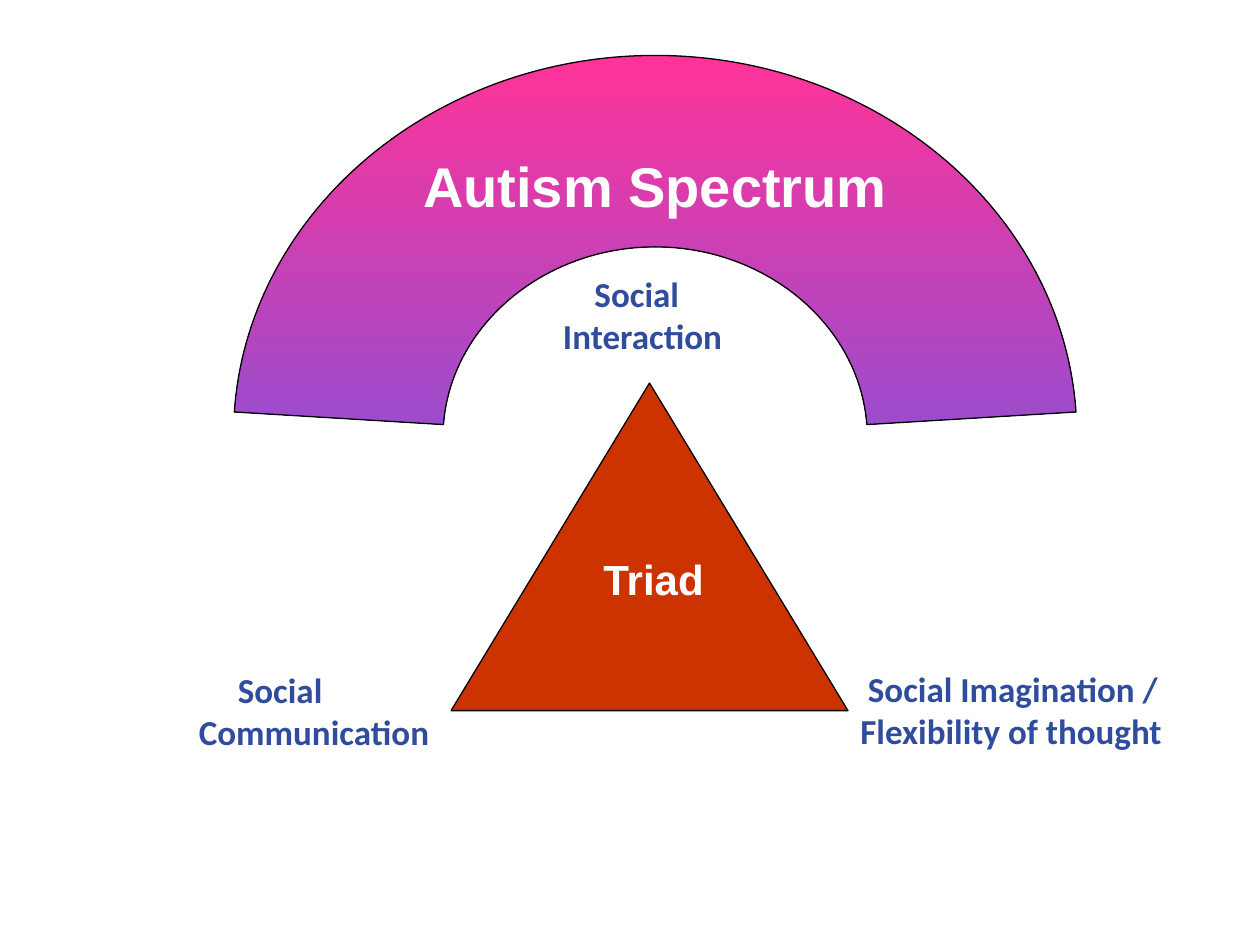
from lxml import etree
from pptx import Presentation
from pptx import util as u
from pptx.dml.color import RGBColor
from pptx.enum import shapes, text
from pptx.oxml.ns import qn

HUES = {"pink": "FF3399", "violet": "9C4CCC", "red": "CC3300",
        "blue": "2F4C9D", "white": "FFFFFF", "black": "000000"}


def hue(name):
    return RGBColor.from_string(HUES[name])


def edge(shape):
    shape.shadow.inherit = False
    shape.line.color.rgb = hue("black")
    shape.line.width = u.Pt(0.75)


def label(slide, box, lines, font, size, color, indent=0):
    """Bold text; indent moves the first line only."""
    frame = slide.shapes.add_textbox(*map(u.Inches, box)).text_frame
    frame.word_wrap = True
    frame.auto_size = text.MSO_AUTO_SIZE.SHAPE_TO_FIT_TEXT
    for i, line in enumerate(lines):
        para = frame.add_paragraph() if i else frame.paragraphs[0]
        if indent and not i:
            props = para._p.get_or_add_pPr()
            props.set("marL", "0")
            props.set("indent", str(u.Inches(indent)))
        run = para.add_run()
        run.text = line
        run.font.name, run.font.size, run.font.bold = font, u.Pt(size), True
        run.font.color.rgb = hue(color)


def bend(line, first, second):
    """Turn a straight segment into a curve with two control points."""
    line.tag = qn("a:cubicBezTo")
    for i, (x, y) in enumerate((first, second)):
        point = etree.Element(qn("a:pt"), x=str(x), y=str(y))
        line.insert(i, point)


def arch(slide, left, top, width, height):
    """Upper part of an elliptical ring, with its title."""
    def spot(x, y):
        return u.Inches(left + x), u.Inches(top + y)

    mid = width / 2
    # Each curve: first control, second control, end
    inner = [((1.73, 2.14), (2.47, 1.52), (mid, 1.52)),
             ((4.23, 1.52), (4.97, 2.14), (5.03, 2.93))]
    outer = [((6.58, 1.24), (5.11, 0), (mid, 0)),
             ((1.59, 0), (0.12, 1.24), (0.01, 2.83))]
    start, turn = (1.67, 2.93), (6.69, 2.83)
    ends = [c[2] for c in inner] + [turn] + [c[2] for c in outer]

    pen = slide.shapes.build_freeform(*spot(*start))
    pen.add_line_segments([spot(*end) for end in ends], close=True)
    ring = pen.convert_to_shape()
    sides = list(ring._element.iter(qn("a:lnTo")))
    for side, curve in zip(sides[:2] + sides[3:5], inner + outer):
        controls = [spot(*point) for point in curve[:2]]
        bend(side, *((x - ring.left, y - ring.top) for x, y in controls))

    edge(ring)
    ring.fill.gradient()
    ring.fill.gradient_angle = 270
    for stop, name in zip(ring.fill.gradient_stops, ("pink", "violet")):
        stop.color.rgb = hue(name)
    label(slide, (left + 1.41, top + 0.71, 3.95, 0.64),
          ["Autism Spectrum"], "Arial", 32, "white")


def triad(slide, left, top, width, height):
    """Triangle with its title and a label at each corner."""
    tri = slide.shapes.add_shape(shapes.MSO_SHAPE.ISOSCELES_TRIANGLE,
                                 *map(u.Inches, (left, top, width, height)))
    edge(tri)
    tri.fill.solid()
    tri.fill.fore_color.rgb = hue("red")
    label(slide, (left + 1.11, top + 1.3, 1.05, 0.5),
          ["Triad"], "Arial", 24, "white")

    # Corner labels: offset from the triangle, width, indent, lines
    corners = [
        (0.79, -0.93, 1.93, 0.25, ["Social Interaction"]),
        (width, 2.21, 2.91, 0.06,
         ["Social Imagination /", "Flexibility of thought"]),
        (-2.1, 2.22, 2.44, 0.31, ["Social Communication"]),
    ]
    for dx, dy, wide, indent, lines in corners:
        label(slide, (left + dx, top + dy, wide, 0.77),
              lines, "Calibri", 20, "blue", indent)


def main():
    deck = Presentation()
    deck.slide_width, deck.slide_height = u.Inches(10), u.Inches(7.5)
    slide = deck.slides.add_slide(deck.slide_layouts[6])
    arch(slide, 1.85, 0.44, 6.7, 6.06)
    triad(slide, 3.58, 3.04, 3.15, 2.6)
    deck.save("out.pptx")


if __name__ == "__main__":
    main()
